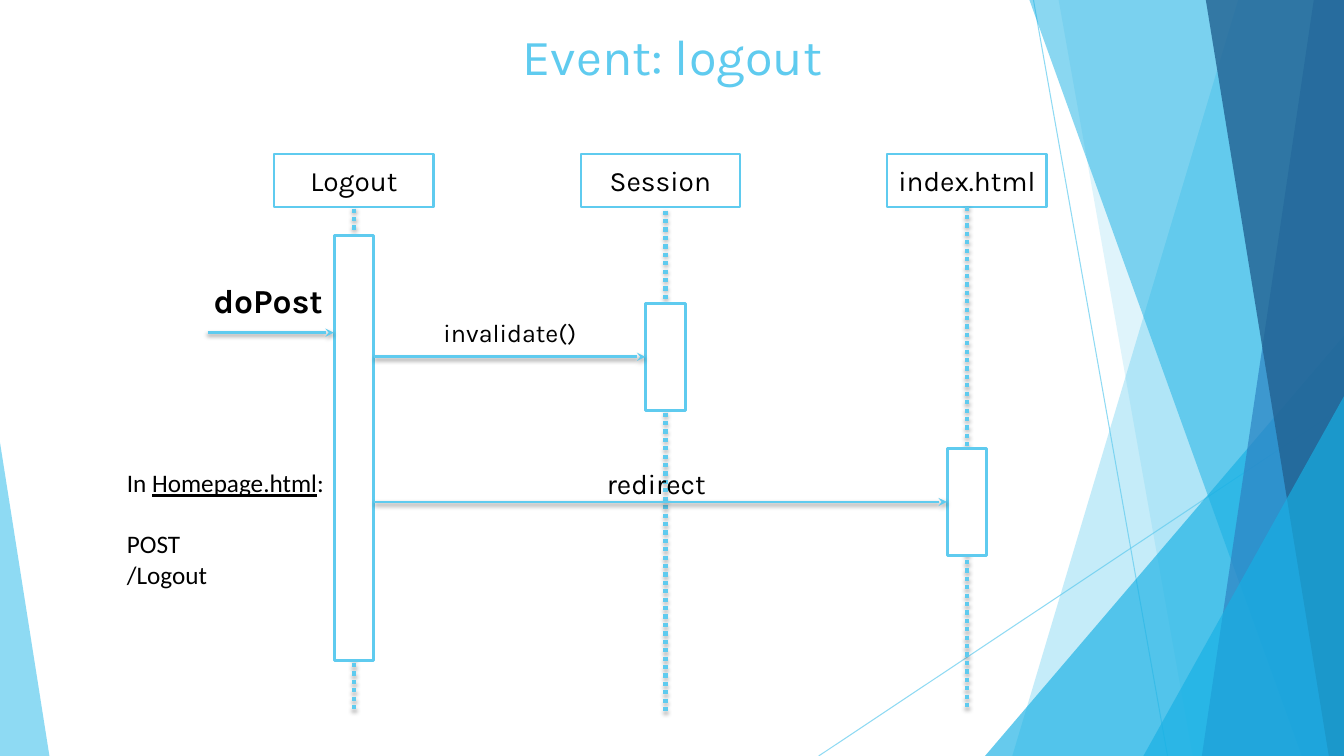
from lxml import etree
from pptx import Presentation
from pptx import util as u
from pptx.dml.color import RGBColor
from pptx.enum import dml, shapes, text
from pptx.oxml import ns

SKY, CYAN, BLUE, NAVY = "5FCBEF", "17B0E4", "2E83C3", "226292"
WHITE, BLACK = "FFFFFF", "000000"
WIDE, HIGH = 13.33, 7.5

RAYS = [((10.25, 0), (11.58, HIGH)), ((WIDE, 4.03), (8.12, HIGH))]
DECOR = [
    ("band", 12.28, 10.04, SKY, 36),
    ("band", 10.5, 11.83, SKY, 20),
    ("wedge", (9.77, 3.33, 3.56, 4.17), 1, CYAN, 66),
    ("band", 10.21, 12.91, CYAN, 50),
    ("band", 13.03, 11.92, BLUE, 70),
    ("band", 11.96, 13.18, NAVY, 80),
    ("wedge", (11.34, 3.93, 1.99, 3.57), 1, CYAN, 66),
    ("wedge", (0, 4.39, 0.49, 3.11), 0, SKY, 70),
]
ACTORS = [
    ("Logout", 2.72, 3.51, 2.07, 2.34, 4.21),
    ("Session", 5.76, 6.6, 2.09, 3.01, 1.06),
    ("index.html", 8.8, 9.59, 2.05, 4.45, 1.06),
]
HEAD = (1.53, 1.58, 0.52)
LIFE, BAR = 4.99, 0.39
CALLS = [(2.06, 3.31, 3.3), (3.71, 6.4, 3.54), (3.71, 9.39, 4.98)]
LABELS = [
    ("doPost", (2.02, 2.73, 1.41, 0.5), 24, True),
    ("invalidate()", (4.3, 3.1, 1.56, 0.4), 18, False),
    ("redirect", (5.92, 4.58, 1.56, 0.44), 20, False),
]
TITLE = ("Event: logout", (0.92, 0.2, 11.5, 1.45))
NOTE = [["In ", "Homepage.html", ":"], ["POST"], ["/Logout"]]

prs = Presentation()
prs.slide_width, prs.slide_height = u.Inches(WIDE), u.Inches(HIGH)
page = prs.slides.add_slide(prs.slide_layouts[6]).shapes


def inch(*nums):
    return [u.Inches(n) for n in nums]


def paint(fill, tone, alpha=100):
    fill.solid()
    fill.fore_color.rgb = RGBColor.from_string(tone)
    if alpha < 100:
        for node in fill._xPr.iter(ns.qn("a:srgbClr")):
            etree.SubElement(node, ns.qn("a:alpha"), val=str(alpha * 1000))


def style(run, size, tone=BLACK, face="Karla", bold=False):
    run.font.size, run.font.name, run.font.bold = u.Pt(size), face, bold
    paint(run.font.fill, tone)


def link(start, end, width, alpha=100, shade=None, dots=False, arrow=False):
    line = page.add_connector(shapes.MSO_CONNECTOR.STRAIGHT,
                              *inch(*start, *end))
    line.line.width = u.Pt(width)
    paint(line.line.fill, SKY, alpha)
    if dots:
        line.line.dash_style = dml.MSO_LINE.ROUND_DOT
    prop = line._element.spPr
    if arrow:
        etree.SubElement(prop.find(ns.qn("a:ln")), ns.qn("a:tailEnd"),
                         type="stealth")
    fx = etree.SubElement(prop, ns.qn("a:effectLst"))
    if shade:
        dark, dist = shade
        drop = etree.SubElement(fx, ns.qn("a:outerShdw"),
                                blurRad=str(u.Pt(3.1)), dist=str(u.Pt(dist)),
                                dir="5400000", rotWithShape="0")
        tone = etree.SubElement(drop, ns.qn("a:srgbClr"), val=BLACK)
        etree.SubElement(tone, ns.qn("a:alpha"), val=str(dark * 1000))


def box(area, width):
    rect = page.add_shape(shapes.MSO_SHAPE.RECTANGLE, *inch(*area))
    rect.shadow.inherit = False
    paint(rect.fill, WHITE)
    paint(rect.line.fill, SKY)
    rect.line.width = u.Pt(width)
    return rect


def write(frame, words, size, tone=BLACK, bold=False, mid=False):
    frame.word_wrap = True
    frame.text = words
    para = frame.paragraphs[0]
    para.alignment = text.PP_ALIGN.CENTER if mid else text.PP_ALIGN.LEFT
    style(para.runs[0], size, tone, bold=bold)


def decor(kind, place, foot, tone, alpha):
    if kind == "band":
        pen = page.build_freeform(*inch(place, 0))
        pen.add_line_segments([inch(*spot) for spot in
                               [(WIDE, 0), (WIDE, HIGH), (foot, HIGH)]])
        item = pen.convert_to_shape()
    else:
        item = page.add_shape(shapes.MSO_SHAPE.ISOSCELES_TRIANGLE,
                              *inch(*place))
        item.adjustments[0] = foot
    item.shadow.inherit = False
    paint(item.fill, tone, alpha)
    item.line.fill.background()


for start, end in RAYS:
    link(start, end, 0.75, alpha=70)
for part in DECOR:
    decor(*part)

words, area = TITLE
write(page.add_textbox(*inch(*area)).text_frame, words, 36, SKY, mid=True)

for name, left, axis, start, top, tall in ACTORS:
    head = box((left, *HEAD), 1.5).text_frame
    head.vertical_anchor = text.MSO_ANCHOR.MIDDLE
    write(head, name, 20, mid=True)
    link((axis, start), (axis, start + LIFE), 3, shade=(35, 1.8), dots=True)
    box((axis - BAR / 2, top, BAR, tall), 2)

for start, end, row in CALLS:
    link((start, row), (end, row), 2, shade=(38, 1.6), arrow=True)
for words, area, size, bold in LABELS:
    write(page.add_textbox(*inch(*area)).text_frame, words, size, bold=bold)

note = page.add_textbox(*inch(1.16, 4.59, 2.35, 1.31)).text_frame
note.word_wrap = True
note.text = "\n".join("" for _ in NOTE)
for para, parts in zip(note.paragraphs, NOTE):
    for words in parts:
        run = para.add_run()
        run.text = words
        style(run, 18, face="Calibri")
        run.font.underline = words == "Homepage.html"
note.paragraphs[1].space_before = u.Pt(22)

prs.save("out.pptx")
